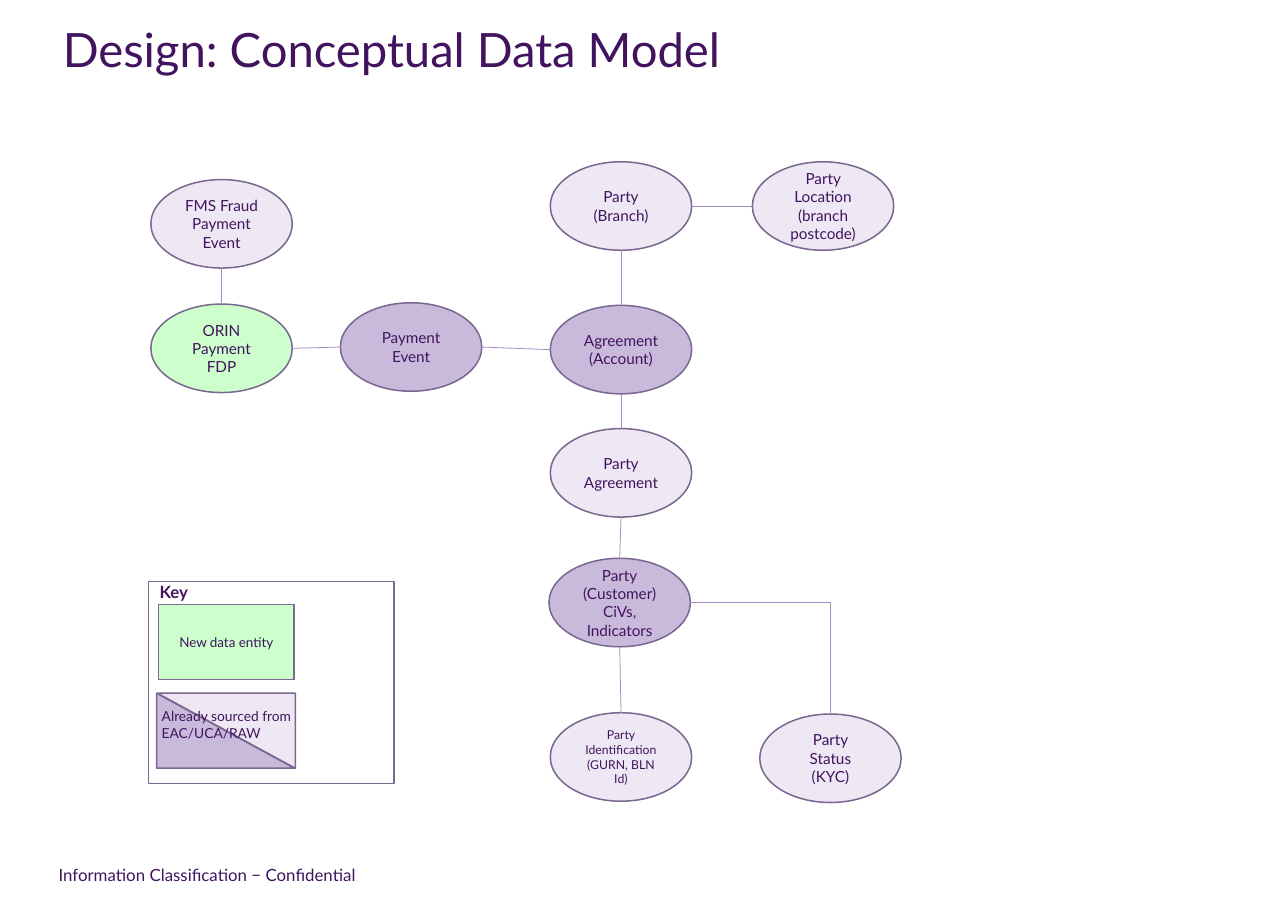
import lxml.etree
import pptx
import pptx.dml.color
import pptx.enum.shapes
import pptx.enum.text
import pptx.oxml.ns
import pptx.util
from pptx.util import Cm

SHAPE = pptx.enum.shapes.MSO_SHAPE
CONNECTOR = pptx.enum.shapes.MSO_CONNECTOR
ALIGN = pptx.enum.text.PP_ALIGN
ANCHOR = pptx.enum.text.MSO_ANCHOR

INK, OUTLINE, LINK = "42145F", "7A6890", "A58CC3"
LIGHT, MEDIUM, GREEN = "EDE8F3", "C9BADB", "CCFFCC"

# name: (left, top, fill, font size, lines), in cm and points
ENTITY_SIZE = (3.26, 2.04)
ENTITIES = {
    "payment": (7.85, 6.98, MEDIUM, 10, ["Payment Event"]),
    "feed": (3.48, 7.01, GREEN, 10, ["ORIN Payment FDP"]),
    "account": (12.69, 7.04, MEDIUM, 10, ["Agreement (Account)"]),
    "branch": (12.69, 3.73, LIGHT, 10, ["Party", "(Branch)"]),
    "customer": (12.66, 12.87, MEDIUM, 10, ["Party", "(Customer)", "CiVs, Indicators"]),
    "location": (17.35, 3.73, LIGHT, 10, ["Party Location", "(branch postcode)"]),
    "identification": (12.69, 16.43, LIGHT, 8, ["Party Identification (GURN, BLN Id)"]),
    "status": (17.52, 16.46, LIGHT, 10, ["Party Status", "(KYC)"]),
    "party agreement": (12.69, 9.88, LIGHT, 10, ["Party", "Agreement"]),
    "fraud": (3.48, 4.14, LIGHT, 10, ["FMS Fraud Payment Event"]),
}

# side: (connection site of an ellipse, share of width, share of height)
SIDES = {"top": (0, 0.5, 0), "left": (2, 0, 0.5), "bottom": (4, 0.5, 1), "right": (6, 1, 0.5)}
LINKS = [
    ("feed", "right", "payment", "left"),
    ("payment", "right", "account", "left"),
    ("branch", "bottom", "account", "top"),
    ("customer", "bottom", "identification", "top"),
    ("branch", "right", "location", "left"),
    ("customer", "right", "status", "top"),
    ("account", "bottom", "party agreement", "top"),
    ("party agreement", "bottom", "customer", "top"),
    ("fraud", "bottom", "feed", "top"),
]

# kind, (left, top, width, height), fill, rotation, lines
KEY_SHAPES = [
    (SHAPE.RIGHT_TRIANGLE, (3.61, 15.98, 3.18, 1.73), MEDIUM, 0, []),
    (SHAPE.RECTANGLE, (3.66, 13.94, 3.12, 1.73), GREEN, 0, ["New data entity"]),
    (SHAPE.RECTANGLE, (3.43, 13.41, 5.66, 4.65), None, 0, []),
    (SHAPE.RIGHT_TRIANGLE, (3.63, 15.98, 3.18, 1.73), LIGHT, 180, []),
]
KEY_TEXTS = [
    ("Key", (3.43, 13.28, 1.42, 0.74), {"size": pptx.util.Pt(11), "bold": True}),
    ("Already sourced from EAC/UCA/RAW", (3.48, 16.2, 3.56, 1.02), {"size": pptx.util.Pt(9)}),
]

NO_MARGINS = dict.fromkeys(["margin_left", "margin_top", "margin_right", "margin_bottom"], 0)
PAGE_TEXTS = [
    ("Information Classification − Confidential", (1.35, 19.79, 8, 0.76),
     {"size": pptx.util.Pt(11)}, {**NO_MARGINS, "vertical_anchor": ANCHOR.MIDDLE}),
    ("Design: Conceptual Data Model", (1.45, 0.46, 24.16, 4.06),
     {"size": pptx.util.Pt(30.9)}, NO_MARGINS),
]


def set_attributes(target, values):
    for name, value in values.items():
        setattr(target, name, value)


def color(hex_string):
    return pptx.dml.color.RGBColor.from_string(hex_string)


def write(shape, lines, font, frame=None, align=ALIGN.LEFT):
    text_frame = shape.text_frame
    set_attributes(text_frame, {"word_wrap": True, **(frame or {})})
    text_frame.text = "\n".join(lines)
    for paragraph in text_frame.paragraphs:
        paragraph.alignment = align
        for run in paragraph.runs:
            set_attributes(run.font, {"name": "Lato", **font})
            run.font.color.rgb = color(INK)


def add_text(shapes, text, box, font, frame=None):
    write(shapes.add_textbox(*map(Cm, box)), [text], font, frame)


def add_block(shapes, kind, box, fill, lines, size):
    shape = shapes.add_shape(kind, *map(Cm, box))
    shape.shadow.inherit = False
    if fill:
        shape.fill.solid()
        shape.fill.fore_color.rgb = color(fill)
    else:
        shape.fill.background()
    shape.line.color.rgb = color(OUTLINE)
    shape.line.width = pptx.util.Pt(1)
    if lines:
        write(shape, lines, {"size": pptx.util.Pt(size)},
              {"vertical_anchor": ANCHOR.MIDDLE}, ALIGN.CENTER)
    return shape


def add_link(shapes, start, start_side, end, end_side):
    """Join two ellipses; a link that leaves sideways and arrives on top bends once."""
    points, glue = [], []
    for tag, shape, side in (("stCxn", start, start_side), ("endCxn", end, end_side)):
        site, across, down = SIDES[side]
        points += [round(shape.left + across * shape.width), round(shape.top + down * shape.height)]
        glue.append((tag, shape.shape_id, site))
    bent = (start_side, end_side) == ("right", "top")
    connector = shapes.add_connector(CONNECTOR.ELBOW if bent else CONNECTOR.STRAIGHT, *points)
    connector.line.color.rgb = color(LINK)
    connector.line.width = pptx.util.Pt(0.5)

    qn = pptx.oxml.ns.qn
    element = connector._element
    lxml.etree.SubElement(element.spPr, qn("a:effectLst"))
    if bent:
        element.spPr.find(qn("a:prstGeom")).set("prst", "bentConnector2")
    ends = element.find(".//" + qn("p:cNvCxnSpPr"))
    for tag, shape_id, site in glue:
        lxml.etree.SubElement(ends, qn("a:" + tag), id=str(shape_id), idx=str(site))


def main():
    presentation = pptx.Presentation()
    set_attributes(presentation, {"slide_width": Cm(29.7), "slide_height": Cm(21)})
    slide = presentation.slides.add_slide(presentation.slide_layouts[6])

    for text, box, font, frame in PAGE_TEXTS:
        add_text(slide.shapes, text, box, font, frame)

    entities = {
        name: add_block(slide.shapes, SHAPE.OVAL, (left, top, *ENTITY_SIZE), fill, lines, size)
        for name, (left, top, fill, size, lines) in ENTITIES.items()
    }
    for start, start_side, end, end_side in LINKS:
        add_link(slide.shapes, entities[start], start_side, entities[end], end_side)

    key = slide.shapes.add_group_shape()
    for kind, box, fill, rotation, lines in KEY_SHAPES:
        add_block(key.shapes, kind, box, fill, lines, 8.8).rotation = rotation
    for text, box, font in KEY_TEXTS:
        add_text(key.shapes, text, box, font)

    presentation.save("out.pptx")


if __name__ == "__main__":
    main()
